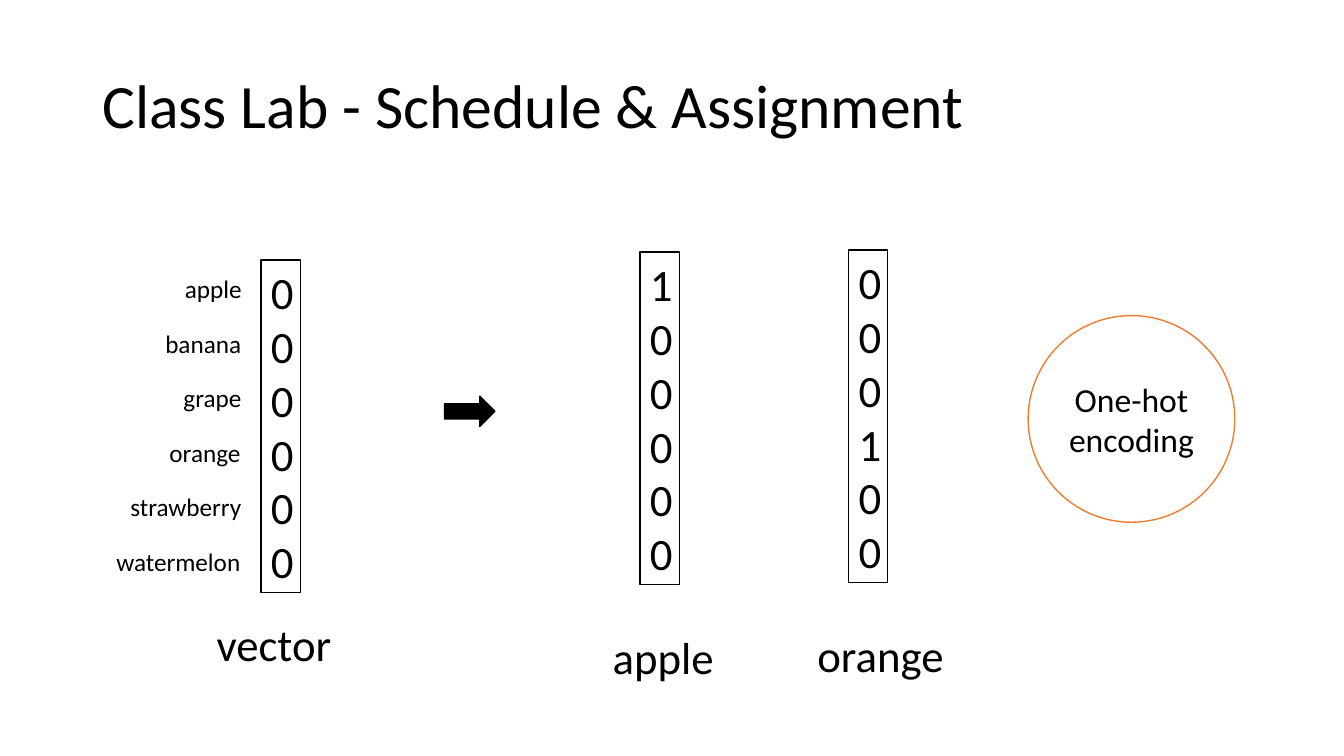
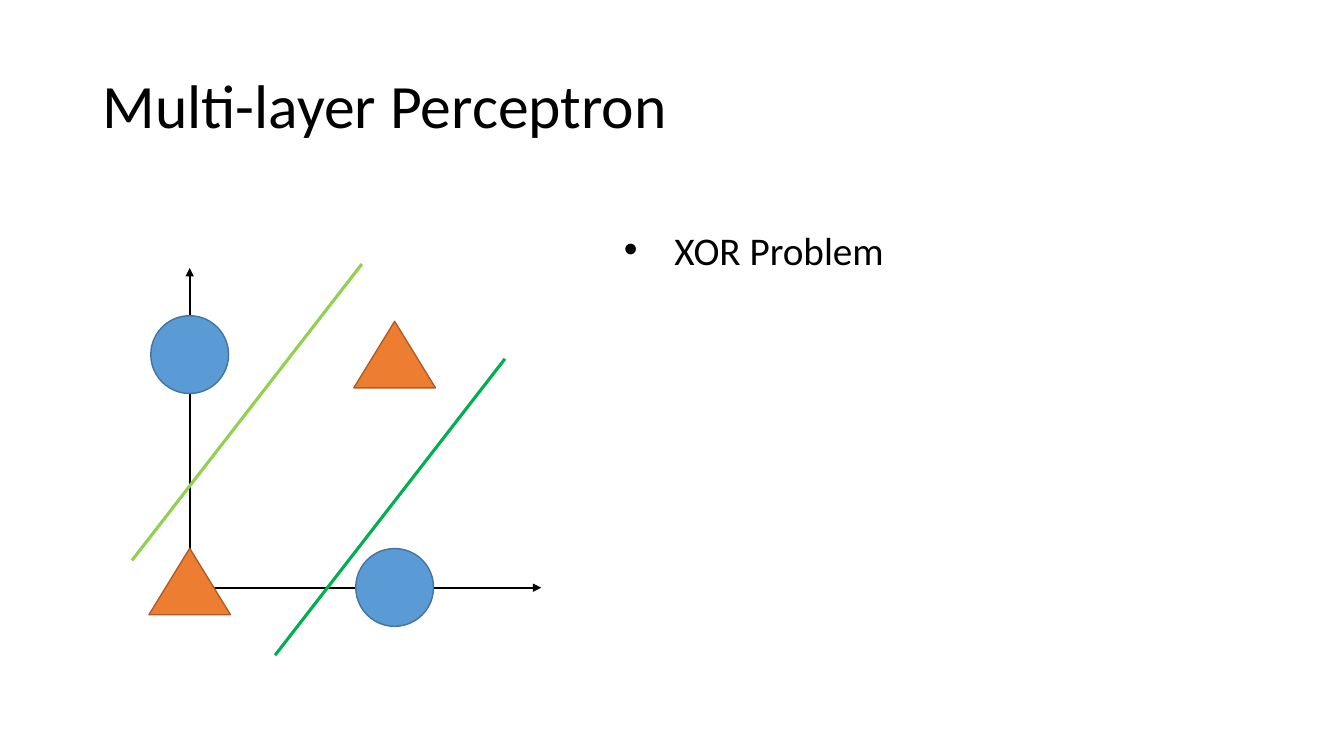
"""Build two slides: one-hot vectors and the XOR problem."""
from pptx import Presentation
from pptx.dml.color import RGBColor
from pptx.enum.shapes import MSO_CONNECTOR, MSO_SHAPE
from pptx.enum.text import MSO_ANCHOR, MSO_AUTO_SIZE, PP_ALIGN
from pptx.oxml.ns import qn
from pptx.util import Pt
from lxml.etree import SubElement

FONT = "Calibri"
BLACK, WHITE, ORANGE, BLUE = "000000", "FFFFFF", "ED7D31", "5B9BD5"
ORANGE_EDGE, BLUE_EDGE = "AF5C24", "43739E"
LIGHT_GREEN, GREEN = "92D050", "00B050"

TITLES = ("Class Lab - Schedule & Assignment", "Multi-layer Perceptron")
TITLE_AREA = (66, 22, 828, 104)

FRUITS = (("apple", 55), ("banana", 69), ("grape", 56),
          ("orange", 66), ("strawberry", 94), ("watermelon", 104))
FRUIT_RIGHT, FRUIT_TOP, FRUIT_STEP, FRUIT_HEIGHT = 180, 192, 38.9, 29
VECTOR_SIZE = (28, 237.6)
VECTORS = (
    ("000000", (186.5, 185.8), "vector", (147.6, 437, 97, 46)),
    ("100000", (457.2, 180), "apple", (430.6, 446.4, 88, 46)),
    ("000100", (606.2, 178.6), "orange", (576.7, 445, 106, 46)),
)
ARROW_AREA = (317.5, 283, 36, 21.6)
ENCODING_LABEL, ENCODING_AREA = "One-hot encoding", (734.4, 225.4, 147.6, 147.6)

ORIGIN, AXIS_ENDS = (135.5, 419.8), ((386.6, 419.8), (135.5, 191.5))
CLASSES = {
    "circle": (MSO_SHAPE.OVAL, (55.6, 55.6), BLUE, BLUE_EDGE),
    "triangle": (MSO_SHAPE.ISOSCELES_TRIANGLE, (58.3, 47.5), ORANGE, ORANGE_EDGE),
}
SAMPLES = (("circle", (135.5, 253.3)), ("triangle", (135.5, 415.4)),
           ("triangle", (281.9, 253.3)), ("circle", (281.9, 419.6)))
BOUNDARY_START, BOUNDARY_RUN = (258.5, 188.6), (-164.2, 211.7)
BOUNDARIES = ((LIGHT_GREEN, (0, 0)), (GREEN, (102.2, 67.7)))
TOPICS, TOPICS_AREA, TOPIC_INDENT = ("XOR Problem",), (438.5, 157.7, 202.3, 108.7), 36


def color(value):
    return RGBColor.from_string(value)


def points(values):
    return [Pt(value) for value in values]


def place(shape, area):
    for name, value in zip(("left", "top", "width", "height"), points(area)):
        setattr(shape, name, value)


def write(paragraph, text, size, align=PP_ALIGN.LEFT):
    paragraph.alignment = align
    span = paragraph.add_run()
    span.text = text
    for name, value in {"name": FONT, "size": Pt(size), "bold": False}.items():
        setattr(span.font, name, value)
    span.font.color.rgb = color(BLACK)


def format_frame(frame, **values):
    for name, value in values.items():
        setattr(frame, name, value)


def add_page(deck, layout, title):
    page = deck.slides.add_slide(deck.slide_layouts[layout])
    box = page.shapes.title
    place(box, TITLE_AREA)
    format_frame(box.text_frame, vertical_anchor=MSO_ANCHOR.MIDDLE,
                 word_wrap=True, auto_size=MSO_AUTO_SIZE.NONE)
    write(box.text_frame.paragraphs[0], title, 44)
    return page


def add_label(page, text, area, size):
    box = page.shapes.add_textbox(*points(area))
    format_frame(box.text_frame, word_wrap=False,
                 auto_size=MSO_AUTO_SIZE.SHAPE_TO_FIT_TEXT)
    write(box.text_frame.paragraphs[0], text, size)


def add_figure(page, kind, area, fill, edge, text="", size=18):
    shape = page.shapes.add_shape(kind, *points(area))
    shape.shadow.inherit = False
    shape.fill.solid()
    shape.fill.fore_color.rgb = color(fill)
    shape.line.color.rgb = color(edge)
    shape.line.width = Pt(1)
    if text:
        format_frame(shape.text_frame, vertical_anchor=MSO_ANCHOR.MIDDLE, word_wrap=True)
        write(shape.text_frame.paragraphs[0], text, size, PP_ALIGN.CENTER)


def add_line(page, start, end, stroke, width, arrow=False):
    line = page.shapes.add_connector(MSO_CONNECTOR.STRAIGHT, *points(start + end))
    line.line.color.rgb = color(stroke)
    line.line.width = Pt(width)
    if arrow:
        SubElement(line.line._get_or_add_ln(), qn("a:tailEnd"), type="triangle")
    SubElement(line._element.spPr, qn("a:effectLst"))


def add_topics(page):
    body = page.placeholders[1]
    place(body, TOPICS_AREA)
    frame = body.text_frame
    format_frame(frame, word_wrap=False, auto_size=MSO_AUTO_SIZE.NONE,
                 vertical_anchor=MSO_ANCHOR.TOP)
    for index, topic in enumerate(TOPICS):
        paragraph = frame.add_paragraph() if index else frame.paragraphs[0]
        properties = paragraph._p.get_or_add_pPr()
        properties.set("marL", str(Pt(TOPIC_INDENT)))
        properties.set("indent", str(-Pt(TOPIC_INDENT)))
        SubElement(properties, qn("a:buFont"), typeface="Arial")
        SubElement(properties, qn("a:buChar"), char="•")
        paragraph.space_before = Pt(0)
        write(paragraph, topic, 28)


def build_encoding(deck):
    page = add_page(deck, 5, TITLES[0])
    for row, (fruit, width) in enumerate(FRUITS):
        top = FRUIT_TOP + row * FRUIT_STEP
        add_label(page, fruit, (FRUIT_RIGHT - width, top, width, FRUIT_HEIGHT), 18)
    for digits, corner, caption, caption_area in VECTORS:
        add_figure(page, MSO_SHAPE.RECTANGLE, corner + VECTOR_SIZE, WHITE, BLACK, digits, 32)
        add_label(page, caption, caption_area, 32)
    add_figure(page, MSO_SHAPE.RIGHT_ARROW, ARROW_AREA, BLACK, BLACK)
    add_figure(page, MSO_SHAPE.OVAL, ENCODING_AREA, WHITE, ORANGE, ENCODING_LABEL, 24)


def build_perceptron(deck):
    page = add_page(deck, 1, TITLES[1])
    for end in AXIS_ENDS:
        add_line(page, ORIGIN, end, BLACK, 1.5, arrow=True)
    for name, (x, y) in SAMPLES:
        kind, (width, height), fill, edge = CLASSES[name]
        area = (x - width / 2, y - height / 2, width, height)
        add_figure(page, kind, area, fill, edge)
    for stroke, shift in BOUNDARIES:
        start = tuple(map(sum, zip(BOUNDARY_START, shift)))
        end = tuple(map(sum, zip(start, BOUNDARY_RUN)))
        add_line(page, start, end, stroke, 2.25)
    add_topics(page)


def main():
    deck = Presentation()
    deck.slide_width, deck.slide_height = Pt(960), Pt(540)
    build_encoding(deck)
    build_perceptron(deck)
    deck.save("out.pptx")


if __name__ == "__main__":
    main()
